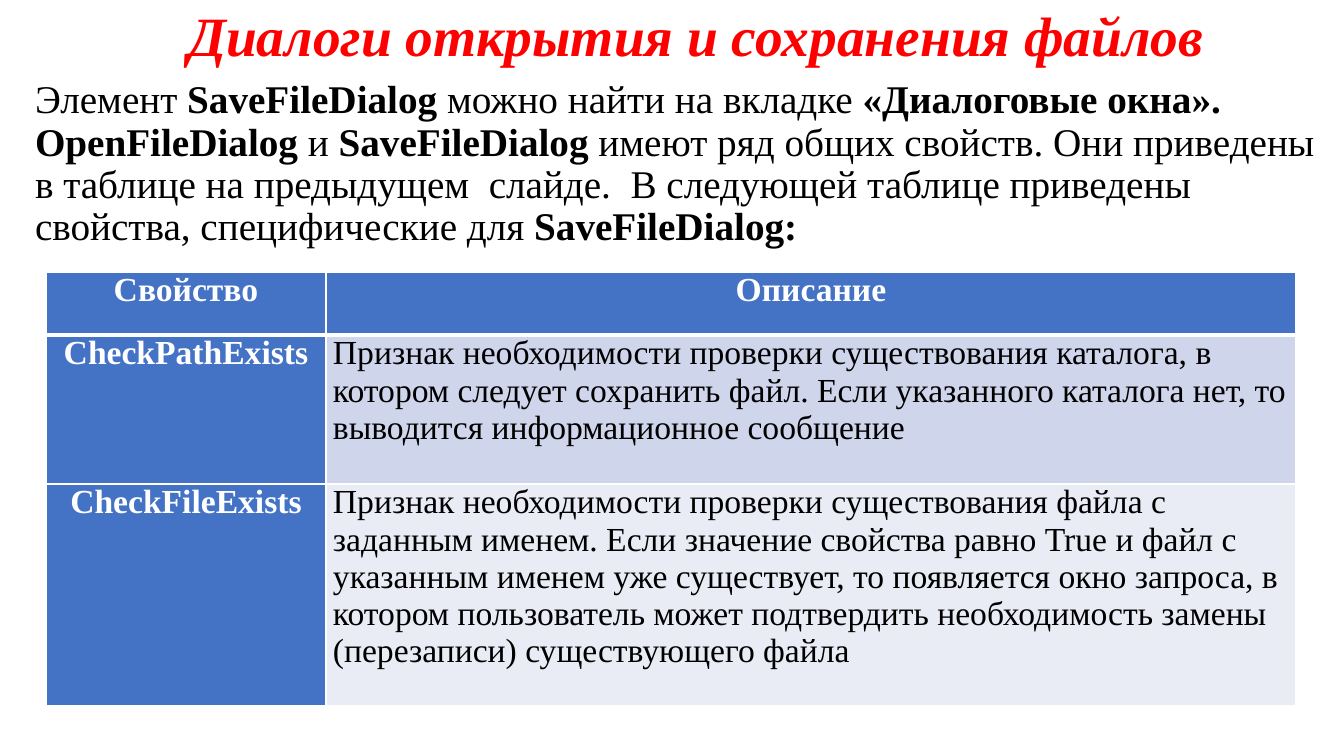
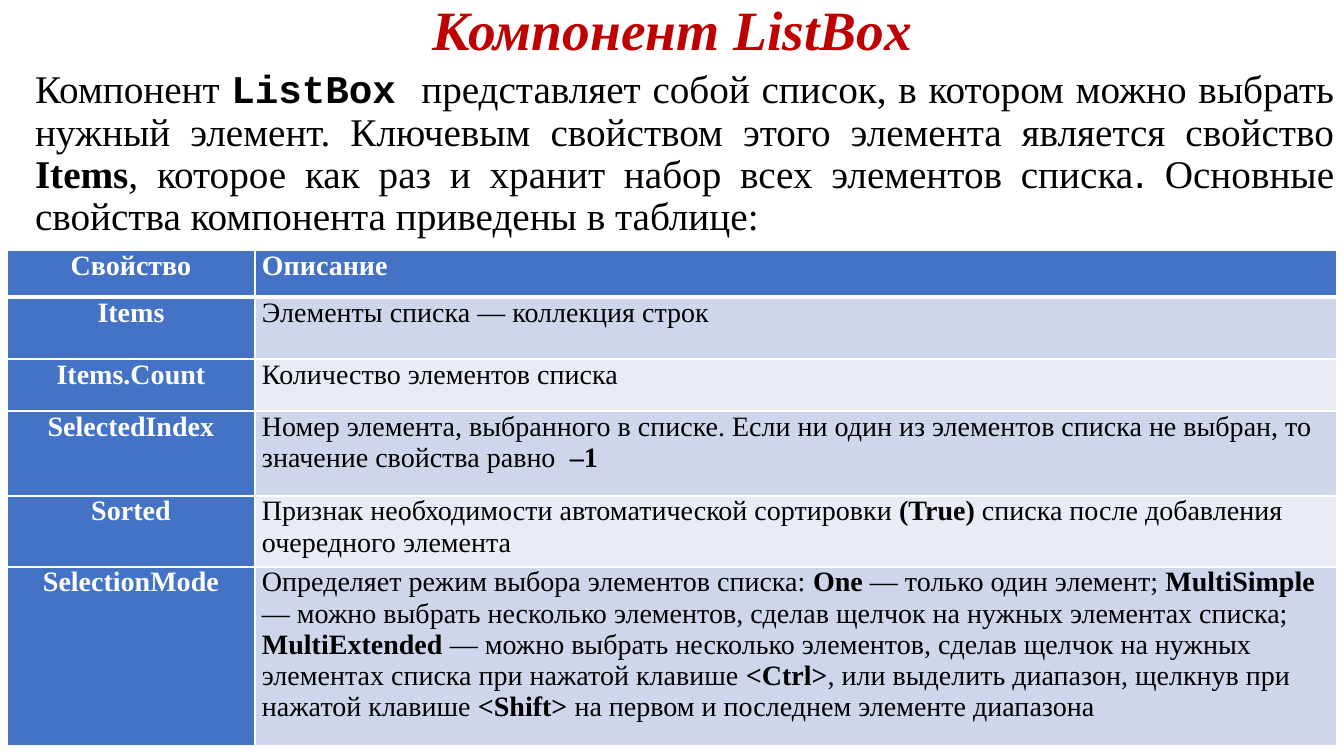
"""Builds two slides about file dialogs and the ListBox component."""
from lxml.etree import SubElement
from pptx import Presentation
from pptx.dml.color import RGBColor
from pptx.enum.text import MSO_ANCHOR, PP_ALIGN
from pptx.oxml.ns import qn
from pptx.util import Pt

PX = 12192000 / 1344
SERIF = "Times New Roman"
BLACK, WHITE, HEADER = "000000", "FFFFFF", "4472C4"
BANDS = ["CFD5EA", "E9EBF5"]
CENTER, LEFT, JUSTIFY = PP_ALIGN.CENTER, PP_ALIGN.LEFT, PP_ALIGN.JUSTIFY


def color(value):
    return RGBColor.from_string(value)


def write(para, text, size=28, fill=BLACK, bold=False, italic=False,
          font=SERIF, align=LEFT, spacing=None):
    """Append text to a paragraph; parts between asterisks become bold."""
    para.alignment = align
    para.line_spacing = spacing
    for index, part in enumerate(text.split("*")):
        if part:
            span = para.add_run()
            span.text = part
            span.font.name = font
            span.font.size = Pt(size)
            span.font.bold = bold or index % 2 == 1
            span.font.italic = italic
            span.font.color.rgb = color(fill)


PAGES = [
    {
        "title": "Диалоги открытия и сохранения файлов",
        "title_color": "FF0000",
        "title_area": (48, 2, 1296, 73),
        "intro": [
            ("Элемент *SaveFileDialog *можно найти на вкладке "
             "*«Диалоговые окна». OpenFileDialog* и *SaveFileDialog* имеют ряд "
             "общих свойств. Они приведены в таблице на предыдущем  слайде.  "
             "В следующей таблице приведены свойства, специфические для "
             "*SaveFileDialog:*", SERIF),
        ],
        "intro_area": (0, 75, 1331, 218),
        "intro_align": LEFT,
        "table_corner": (46, 272),
        "columns": [280, 970],
        "heights": [63, 149, 222],
        "size": 24,
        "header_align": CENTER,
        "rows": [
            ("Свойство", "Описание"),
            ("CheckPathExists",
             "Признак необходимости проверки существования каталога, в котором "
             "следует сохранить файл. Если указанного каталога нет, то "
             "выводится информационное сообщение"),
            ("CheckFileExists",
             "Признак необходимости проверки существования файла с заданным "
             "именем. Если значение свойства равно True и файл с указанным "
             "именем уже существует, то появляется окно запроса, в котором "
             "пользователь может подтвердить необходимость замены "
             "(перезаписи) существующего файла"),
        ],
    },
    {
        "title": "Компонент ListBox",
        "title_color": "C00000",
        "title_area": (93, 0, 1159, 65),
        "intro": [
            ("Компонент ", SERIF),
            ("*ListBox *", "Courier New"),
            ("представляет собой список, в котором можно выбрать нужный "
             "элемент. Ключевым свойством этого элемента является свойство "
             "*Items*, которое как раз и хранит набор всех элементов списка",
             SERIF),
            (".", "DejaVu Sans"),
            (" Основные свойства компонента приведены в таблице:", SERIF),
        ],
        "intro_area": (0, 65, 1344, 185),
        "intro_align": JUSTIFY,
        "table_corner": (7, 250),
        "columns": [248, 1082],
        "heights": [47, 62, 52, 85, 71, 179],
        "size": 20,
        "header_align": LEFT,
        "rows": [
            ("Свойство", "Описание"),
            ("Items", "Элементы списка — коллекция строк"),
            ("Items.Count", "Количество элементов списка"),
            ("SelectedIndex",
             "Номер элемента, выбранного в списке. Если ни один из элементов "
             "списка не выбран, то значение свойства равно  *–1*"),
            ("Sorted",
             "Признак необходимости автоматической сортировки *(True) *списка "
             "после добавления очередного элемента"),
            ("SelectionMode",
             "Определяет режим выбора элементов списка: *One* — только один "
             "элемент; *MultiSimple *— можно выбрать несколько элементов, "
             "сделав щелчок на нужных элементах списка; *MultiExtended *— "
             "можно выбрать несколько элементов, сделав щелчок на нужных "
             "элементах списка при нажатой клавише *<Ctrl>*, или выделить "
             "диапазон, щелкнув при нажатой клавише *<Shift> *на первом и "
             "последнем элементе диапазона"),
        ],
    },
]

deck = Presentation()
deck.slide_width = round(1344 * PX)
deck.slide_height = round(756 * PX)

for content in PAGES:
    page = deck.slides.add_slide(deck.slide_layouts[6])

    area = [round(value * PX) for value in content["title_area"]]
    title = page.shapes.add_textbox(*area).text_frame
    title.word_wrap = True
    title.vertical_anchor = MSO_ANCHOR.MIDDLE
    write(title.paragraphs[0], content["title"], size=39.6,
          fill=content["title_color"], bold=True, italic=True,
          align=CENTER, spacing=0.9)

    area = [round(value * PX) for value in content["intro_area"]]
    intro = page.shapes.add_textbox(*area).text_frame
    intro.word_wrap = True
    intro.margin_left = round(35 * PX)
    for text, font in content["intro"]:
        write(intro.paragraphs[0], text, font=font,
              align=content["intro_align"], spacing=0.9)

    columns, heights, rows = content["columns"], content["heights"], content["rows"]
    area = [round(value * PX) for value in
            (*content["table_corner"], sum(columns), sum(heights))]
    table = page.shapes.add_table(len(rows), len(columns), *area).table
    for column, width in zip(table.columns, columns):
        column.width = round(width * PX)
    for row, height in zip(table.rows, heights):
        row.height = round(height * PX)

    for row_index, row in enumerate(rows):
        for column_index, text in enumerate(row):
            cell = table.cell(row_index, column_index)
            cell.margin_left = cell.margin_right = round(7 * PX)
            cell.margin_top = cell.margin_bottom = 0
            properties = cell._tc.get_or_add_tcPr()
            for side in "LRTB":
                thick = (row_index, side) in [(0, "B"), (1, "T")]
                line = SubElement(properties, qn(f"a:ln{side}"),
                                  w=str(Pt(3 if thick else 1)))
                solid = SubElement(line, qn("a:solidFill"))
                SubElement(solid, qn("a:srgbClr"), val=WHITE)

            heading = row_index == 0 or column_index == 0
            cell.fill.solid()
            cell.fill.fore_color.rgb = color(
                HEADER if heading else BANDS[(row_index - 1) % 2])
            if column_index == 0:
                align = CENTER
            else:
                align = content["header_align"] if heading else LEFT
            write(cell.text_frame.paragraphs[0], text, size=content["size"],
                  fill=WHITE if heading else BLACK, bold=heading, align=align)

deck.save("out.pptx")
